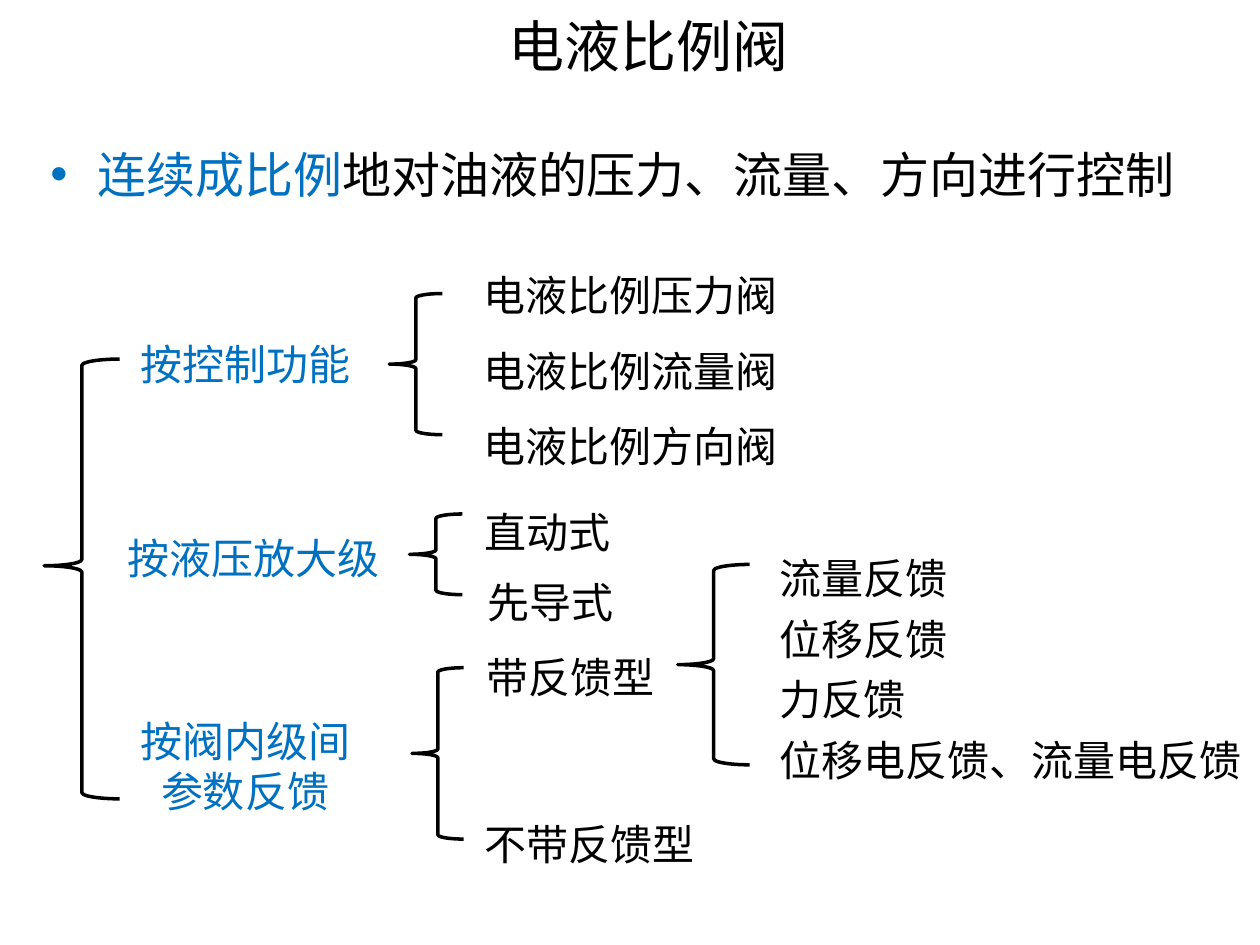
from dataclasses import dataclass

from lxml import etree
from pptx import Presentation
from pptx import util as u
from pptx.dml.color import RGBColor
from pptx.enum import shapes, text
from pptx.oxml.ns import qn

COLUMNS, ROWS = 100, 75


@dataclass(frozen=True)
class Theme:
    font: str = "Noto Sans CJK SC"
    ink: RGBColor = RGBColor(0x00, 0x00, 0x00)
    accent: RGBColor = RGBColor(0x00, 0x70, 0xC0)
    title: u.Pt = u.Pt(32)
    statement: u.Pt = u.Pt(28)
    label: u.Pt = u.Pt(24)
    brace: u.Pt = u.Pt(2)


THEME = Theme()
LEFT, CENTER, JUSTIFY = text.PP_ALIGN.LEFT, text.PP_ALIGN.CENTER, text.PP_ALIGN.JUSTIFY

# Criteria of classification: wording, grid box, alignment, wrapping
CRITERIA = [
    ("按控制功能", (10.2, 26.4, 18.8, 5), LEFT, False),
    ("按液压放大级", (9.1, 41.8, 22.5, 5), LEFT, True),
    ("按阀内级间参数反馈", (9.1, 56.3, 20.7, 9.1), CENTER, True),
]

# Valve types: lines of one box, grid box, line spacing
TYPES = [
    (["电液比例压力阀", "电液比例流量阀", "电液比例方向阀"], (37.4, 18.9, 50, 19.2), 1.5),
    (["直动式"], (37.5, 37.7, 18.8, 7.1), 1.5),
    (["先导式"], (37.7, 43.3, 12.9, 7.1), 1.5),
    (["带反馈型"], (37.6, 49.2, 16.5, 6.4), 1.5),
    (["不带反馈型"], (37.5, 62.5, 19.5, 7.1), 1.5),
    (["流量反馈", "位移反馈", "力反馈", "位移电反馈、流量电反馈"],
     (60.9, 42.6, 39.3, 20.4), 1.2),
]

# Braces: grid box, height of the point as a share of the brace
BRACES = [
    ((3.5, 28.5, 6, 34.9), 0.47),
    ((30.9, 23.3, 4.2, 11.2), 0.5),
    ((32.5, 40.8, 4.2, 6.4), 0.5),
    ((32.7, 53, 4.1, 13.6), 0.5),
    ((53.8, 44.8, 5.7, 15.9), 0.5),
]


def grid_box(column, row, columns, rows):
    """Turn grid units into left, top, width and height."""
    return [u.Inches(round(n, 2)) for n in
            (column * 10 / COLUMNS, row * 7.5 / ROWS,
             columns * 10 / COLUMNS, rows * 7.5 / ROWS)]


def set_format(target, values):
    for name, value in values.items():
        setattr(target, name, value)


def add_run(paragraph, wording, size, color):
    run = paragraph.add_run()
    run.text = wording
    set_format(run.font, {"name": THEME.font, "size": size})
    run.font.color.rgb = color
    east_asian = etree.SubElement(run.font._element, qn("a:ea"))
    east_asian.set("typeface", THEME.font)


def fill_placeholder(placeholder, box, runs, size, frame_format, paragraph_format):
    edges = ("left", "top", "width", "height")
    set_format(placeholder, dict(zip(edges, grid_box(*box))))
    frame = placeholder.text_frame
    set_format(frame, {"auto_size": text.MSO_AUTO_SIZE.NONE, **frame_format})
    paragraph = frame.paragraphs[0]
    set_format(paragraph, paragraph_format)
    for wording, color in runs:
        add_run(paragraph, wording, size, color)


def add_label(slide, lines, box, color, paragraph_format, wrap=True):
    frame = slide.shapes.add_textbox(*grid_box(*box)).text_frame
    set_format(frame, {"word_wrap": wrap,
                       "auto_size": text.MSO_AUTO_SIZE.SHAPE_TO_FIT_TEXT})
    for index, line in enumerate(lines):
        paragraph = frame.add_paragraph() if index else frame.paragraphs[0]
        set_format(paragraph, paragraph_format)
        add_run(paragraph, line, THEME.label, color)


def add_brace(slide, box, point):
    brace = slide.shapes.add_shape(shapes.MSO_SHAPE.LEFT_BRACE, *grid_box(*box))
    brace.shadow.inherit = False
    brace.fill.background()
    brace.line.color.rgb = THEME.ink
    brace.line.width = THEME.brace
    brace.adjustments[1] = point


def main():
    deck = Presentation()
    set_format(deck, {"slide_width": u.Inches(10), "slide_height": u.Inches(7.5)})
    slide = deck.slides.add_slide(deck.slide_layouts[1])
    title, statement = slide.placeholders

    fill_placeholder(title, (16.1, 0.2, 70.8, 6.8), [("电液比例阀", THEME.ink)],
                     THEME.title, {"vertical_anchor": text.MSO_ANCHOR.MIDDLE},
                     {"alignment": CENTER})
    fill_placeholder(statement, (3, 8.6, 94.5, 8),
                     [("连续成比例", THEME.accent),
                      ("地对油液的压力、流量、方向进行控制", THEME.ink)],
                     THEME.statement, {"word_wrap": True},
                     {"alignment": JUSTIFY, "line_spacing": 1.5})

    for wording, box, alignment, wrap in CRITERIA:
        add_label(slide, [wording], box, THEME.accent, {"alignment": alignment}, wrap)
    for lines, box, spacing in TYPES:
        add_label(slide, lines, box, THEME.ink,
                  {"alignment": JUSTIFY, "line_spacing": spacing})
    for box, point in BRACES:
        add_brace(slide, box, point)

    deck.save("out.pptx")


if __name__ == "__main__":
    main()
